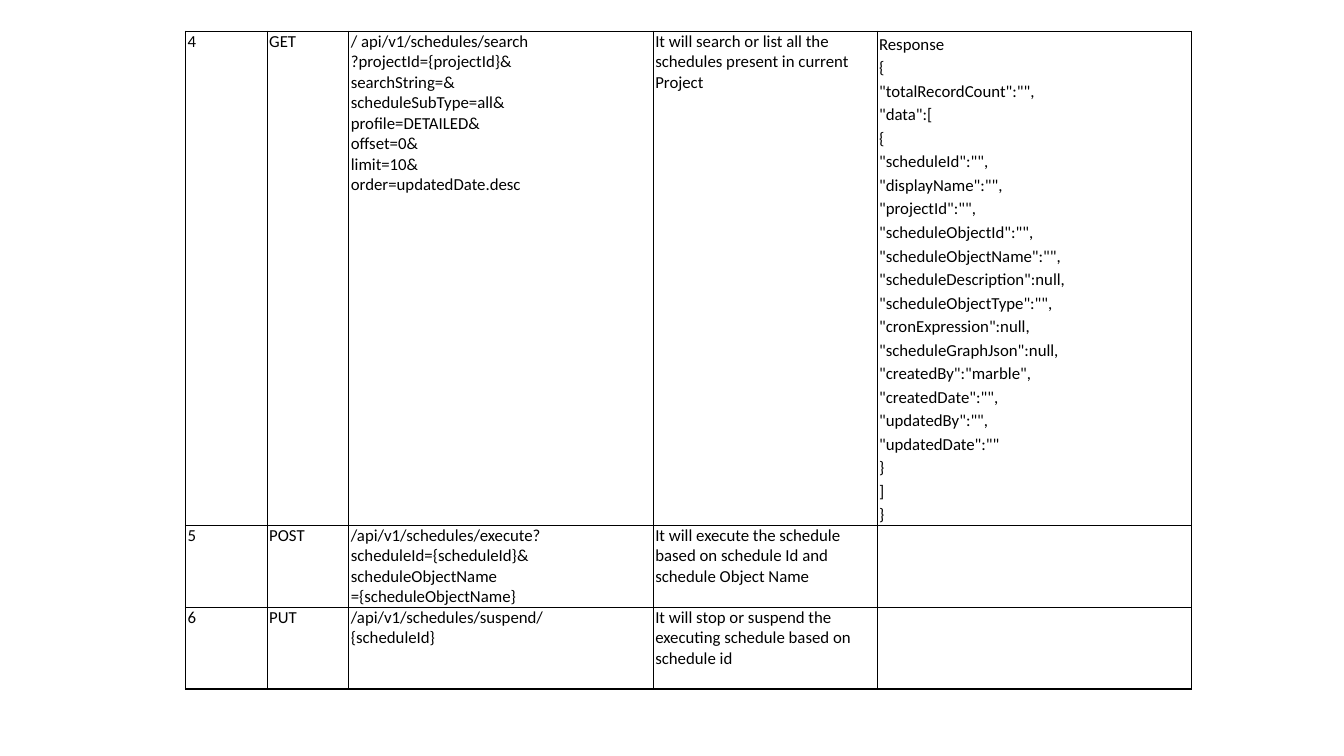
from lxml import etree
from pptx import Presentation
from pptx.dml.color import RGBColor
from pptx.enum import text as t
from pptx.oxml import ns
from pptx.util import Inches, Pt

BLACK = RGBColor(0x00, 0x00, 0x00)
FONT = "Calibri"

COLUMN_WIDTHS = [0.81, 0.81, 3.02, 2.22, 3.12]
ROW_HEIGHTS = [4.9, 0.81, 0.81]

SEARCH_URL = """/ api/v1/schedules/search
?projectId={projectId}&
searchString=&
scheduleSubType=all&
profile=DETAILED&
offset=0&
limit=10&
order=updatedDate.desc"""

SEARCH_RESPONSE = """Response
{
"totalRecordCount":"",
"data":[
{
"scheduleId":"",
"displayName":"",
"projectId":"",
"scheduleObjectId":"",
"scheduleObjectName":"",
"scheduleDescription":null,
"scheduleObjectType":"",
"cronExpression":null,
"scheduleGraphJson":null,
"createdBy":"marble",
"createdDate":"",
"updatedBy":"",
"updatedDate":""
}
]
}"""

EXECUTE_URL = """/api/v1/schedules/execute?
scheduleId={scheduleId}&
scheduleObjectName
={scheduleObjectName}"""

SUSPEND_URL = """/api/v1/schedules/suspend/
{scheduleId}"""

# Number, method, URL, description, response
ENDPOINTS = [
    ["4", "GET", SEARCH_URL,
     "It will search or list all the schedules present in current Project",
     SEARCH_RESPONSE],
    ["5", "POST", EXECUTE_URL,
     "It will execute the schedule based on schedule Id and schedule Object Name", ""],
    ["6", "PUT", SUSPEND_URL,
     "It will stop or suspend the executing schedule based on schedule id", ""],
]


def write_text(frame, content, size=12, color=BLACK, line_spacing=1.0):
    """Write each line of content as a paragraph of the frame."""
    for index, line in enumerate(content.split("\n")):
        para = frame.paragraphs[0] if index == 0 else frame.add_paragraph()
        para.alignment = t.PP_ALIGN.LEFT
        para.line_spacing = line_spacing
        para.font.size = Pt(size)
        if line:
            span = para.add_run()
            span.text = line
            span.font.name = FONT
            span.font.size = Pt(size)
            span.font.bold = False
            span.font.color.rgb = color


def add_borders(cell, color=BLACK, width=1):
    """Draw a solid line on all four sides; lines precede the fill in the XML."""
    properties = cell._tc.get_or_add_tcPr()
    for position, side in enumerate(["a:lnL", "a:lnR", "a:lnT", "a:lnB"]):
        line = etree.Element(ns.qn(side), w=str(Pt(width)))
        fill = etree.SubElement(line, ns.qn("a:solidFill"))
        etree.SubElement(fill, ns.qn("a:srgbClr"), val=str(color))
        properties.insert(position, line)


def add_endpoint_table(page, left, top, width, height):
    """Place the endpoint table, sharing out the box by column and row sizes."""
    frame = page.shapes.add_table(len(ENDPOINTS), len(COLUMN_WIDTHS),
                                  Inches(left), Inches(top),
                                  Inches(width), Inches(height))
    table = frame.table
    table.first_row = False
    table.horz_banding = False
    for column, share in zip(table.columns, COLUMN_WIDTHS):
        column.width = Inches(width * share / sum(COLUMN_WIDTHS))
    for row, share in zip(table.rows, ROW_HEIGHTS):
        row.height = Inches(height * share / sum(ROW_HEIGHTS))

    # Cells
    for row, endpoint in zip(table.rows, ENDPOINTS):
        for cell, content in zip(row.cells, endpoint):
            cell.margin_left = cell.margin_right = Inches(0.02)
            cell.margin_top = cell.margin_bottom = 0
            cell.vertical_anchor = t.MSO_ANCHOR.TOP
            cell.fill.background()
            add_borders(cell)
            spacing = 1.15 if content == SEARCH_RESPONSE else 1.0
            write_text(cell.text_frame, content, line_spacing=spacing)


def main():
    deck = Presentation()
    deck.slide_width = Inches(13.33)
    deck.slide_height = Inches(7.5)
    page = deck.slides.add_slide(deck.slide_layouts[6])
    add_endpoint_table(page, 1.84, 0.31, sum(COLUMN_WIDTHS), sum(ROW_HEIGHTS))
    deck.save("out.pptx")


if __name__ == "__main__":
    main()
